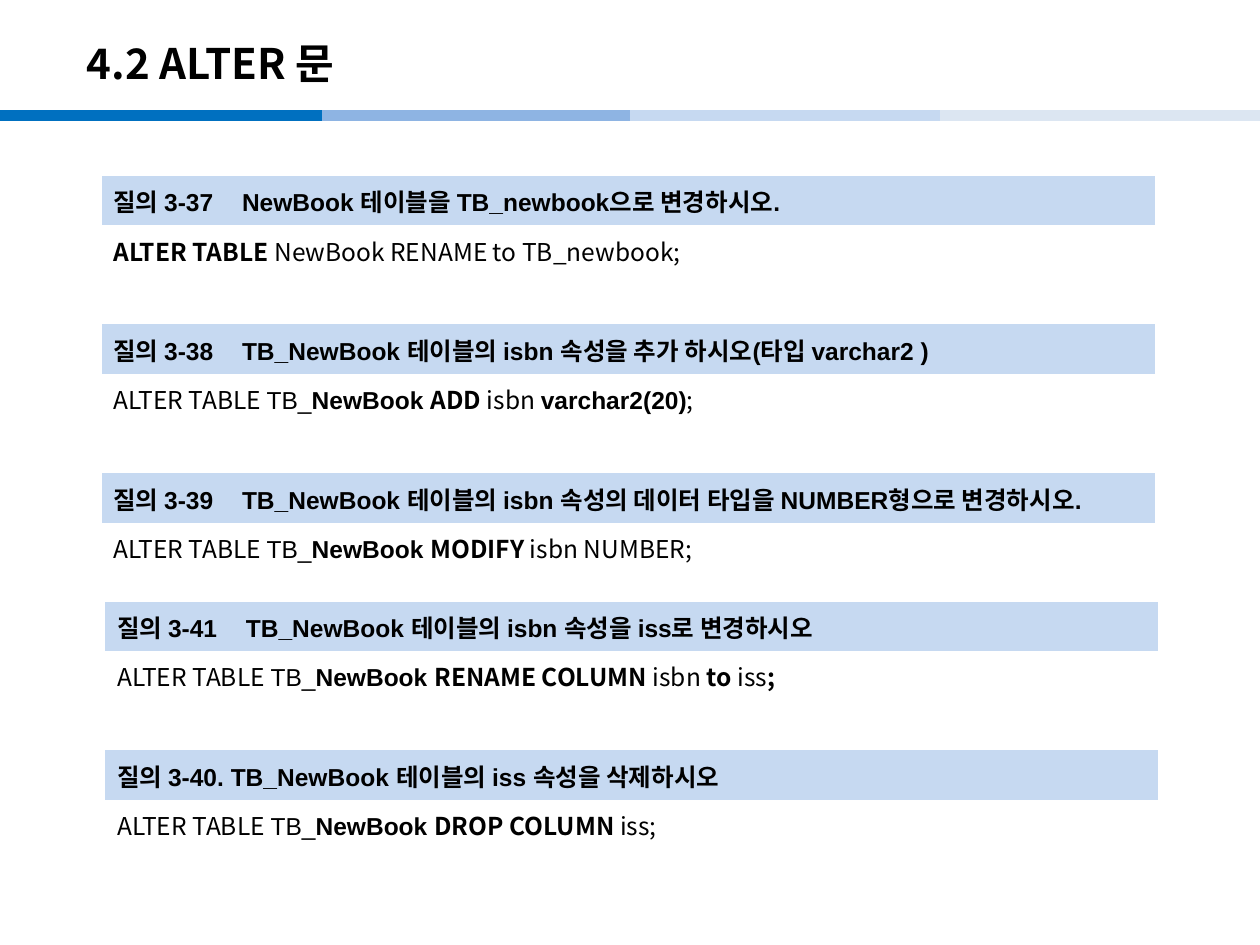
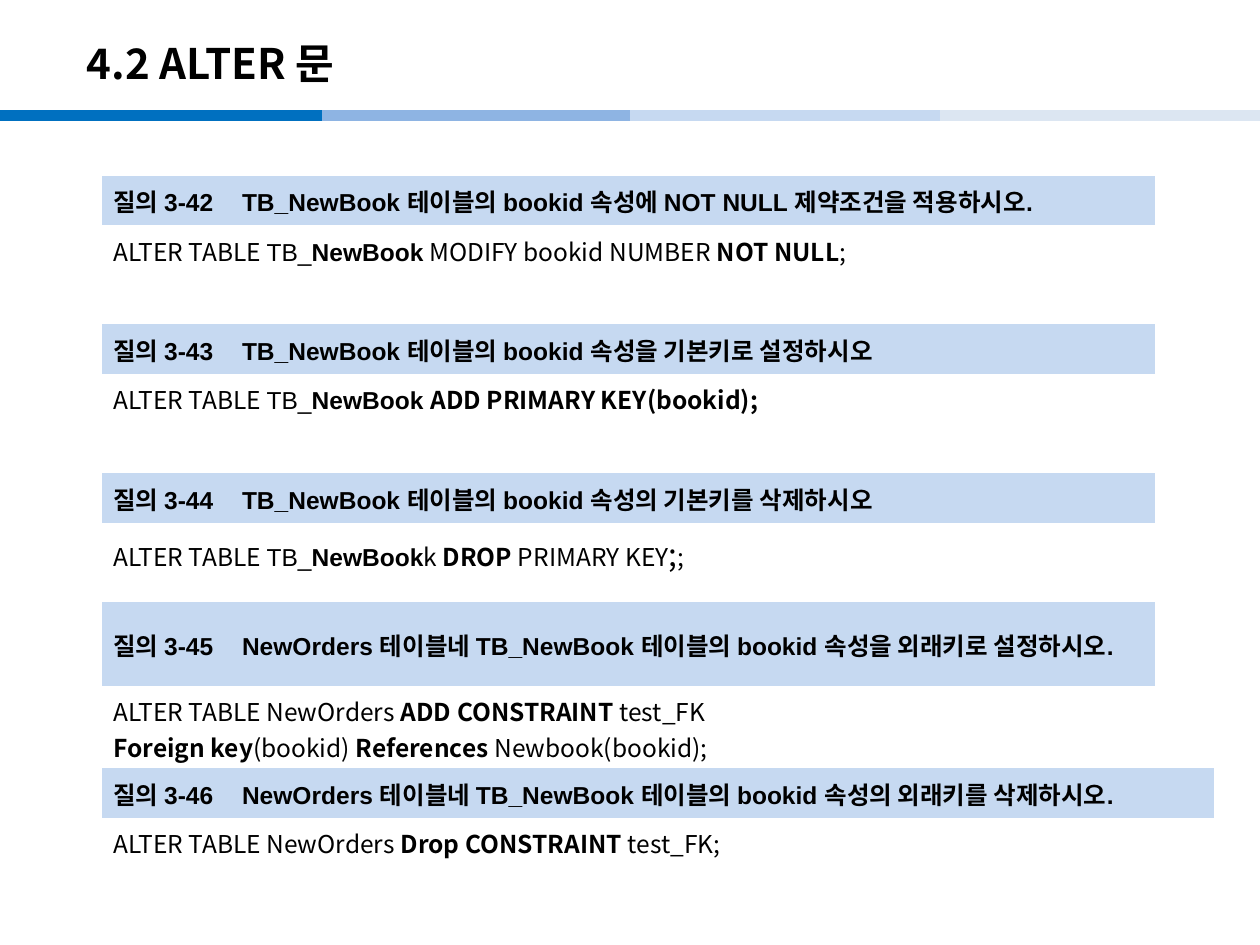
"""Builds two slides of ALTER statement exercises."""
import pptx
import pptx.util
import pptx.dml.color
import pptx.enum.shapes
import pptx.enum.text
import pptx.oxml.ns
import lxml.etree

Pt = pptx.util.Pt
qn = pptx.oxml.ns.qn
RGB = pptx.dml.color.RGBColor.from_string
MIDDLE = pptx.enum.text.MSO_ANCHOR.MIDDLE
HEX = {"ink": "000000", "white": "FFFFFF", "head": "C6D9F1",
       "blue": "0070C0", "mid": "8EB4E3", "pale": "DCE6F2"}
NOTO, ARIAL = "Noto Sans CJK KR", "Arial"
ROW = 29.25
TAB = 73.5


def write(par, text, size=14, font=NOTO, bold=False):
    run = par.add_run()
    run.text = text
    run.font.size = Pt(size)
    run.font.bold = bold
    run.font.color.rgb = RGB(HEX["ink"])
    run.font.name = font
    east = lxml.etree.SubElement(run._r.get_or_add_rPr(), qn("a:ea"))
    east.set("typeface", NOTO)


PLAIN, BOLD = {}, {"bold": True}
THIN, HEAVY = {"font": ARIAL}, {"font": ARIAL, "bold": True}
ALTER = [("ALTER TABLE ", PLAIN), ("TB_", THIN)]
BOOK = ALTER + [("NewBook ", HEAVY)]

# Each query: left, top, width, row heights, heading, paragraphs of runs
pages = [
    [
        (57.6, 100, 602.6, (ROW, ROW), "질의 3-37\tNewBook 테이블을 TB_newbook으로 변경하시오.",
         [[("ALTER TABLE ", BOLD), ("NewBook RENAME to TB_newbook;", PLAIN)]]),
        (57.6, 185, 602.6, (ROW, ROW),
         "질의 3-38\tTB_NewBook 테이블의 isbn 속성을 추가 하시오(타입 varchar2 )",
         [BOOK + [("ADD ", BOLD), ("isbn ", PLAIN), ("varchar2(20)", HEAVY), (";", PLAIN)]]),
        (57.6, 270, 602.6, (ROW, ROW),
         "질의 3-39\tTB_NewBook 테이블의 isbn 속성의 데이터 타입을 NUMBER형으로 변경하시오.",
         [BOOK + [("MODIFY ", BOLD), ("isbn NUMBER;", PLAIN)]]),
        (59.8, 343.4, 602.6, (ROW, ROW),
         "질의 3-41\tTB_NewBook 테이블의 isbn 속성을 iss로 변경하시오",
         [BOOK + [("RENAME COLUMN ", BOLD), ("isbn", PLAIN), (" to ", BOLD),
                  ("iss", PLAIN), (";", BOLD)]]),
        (59.8, 428.4, 602.6, (ROW, ROW),
         "질의 3-40. TB_NewBook 테이블의 iss 속성을 삭제하시오",
         [BOOK + [("DROP COLUMN ", BOLD), ("iss;", PLAIN)]]),
    ],
    [
        (57.6, 100, 602.6, (ROW, ROW),
         "질의 3-42\tTB_NewBook 테이블의 bookid 속성에 NOT NULL 제약조건을 적용하시오.",
         [ALTER + [("NewBook", HEAVY), (" MODIFY bookid NUMBER ", PLAIN),
                   ("NOT NULL", BOLD), (";", PLAIN)]]),
        (57.6, 185, 602.6, (ROW, ROW),
         "질의 3-43\tTB_NewBook 테이블의 bookid 속성을 기본키로 설정하시오",
         [BOOK + [("ADD PRIMARY KEY(bookid);", BOLD)]]),
        (57.6, 270, 602.6, (ROW, ROW),
         "질의 3-44\tTB_NewBook 테이블의 bookid 속성의 기본키를 삭제하시오",
         [ALTER + [("NewBook", HEAVY), ("k ", PLAIN), ("DROP ", BOLD),
                   ("PRIMARY KEY", PLAIN), (";", {"size": 18}), (";", PLAIN)]]),
        (57.6, 343.4, 602.6, (49.2, 40.8),
         "질의 3-45\tNewOrders 테이블네 TB_NewBook 테이블의 bookid 속성을 외래키로 설정하시오.",
         [[("ALTER TABLE NewOrders ", PLAIN), ("ADD CONSTRAINT ", BOLD), ("test_FK", PLAIN)],
          [("Foreign key", BOLD), ("(bookid) ", PLAIN), ("References ", BOLD),
           ("Newbook(bookid);", PLAIN)]]),
        (57.6, 438.5, 636.5, (ROW, ROW),
         "질의 3-46\tNewOrders 테이블네 TB_NewBook 테이블의 bookid 속성의 외래키를 삭제하시오.",
         [[("ALTER TABLE NewOrders ", PLAIN), ("Drop CONSTRAINT ", BOLD),
           ("test_FK;", PLAIN)]]),
    ],
]
bands = [(0, "blue"), (184.3, "mid"), (360, "head"), (537.1, "pale")]

deck = pptx.Presentation()
deck.slide_width, deck.slide_height = Pt(720), Pt(540)
base = deck.slide_layouts[5]
spot = base.placeholders[0]
spot.left, spot.top, spot.width, spot.height = Pt(42.5), Pt(14.4), Pt(595.4), Pt(43.2)

for page, items in enumerate(pages):
    slide = deck.slides.add_slide(base)
    if page == 0:
        for num, (left, tone) in enumerate(bands):
            band = slide.shapes.add_connector(
                pptx.enum.shapes.MSO_CONNECTOR.STRAIGHT,
                Pt(left), Pt(66.1), Pt(left + 184.3), Pt(66.1))
            band.line.color.rgb = RGB(HEX[tone])
            band.line.width = Pt(6)
            lxml.etree.SubElement(band.element.spPr, qn("a:effectLst"))
            band.element.nvCxnSpPr.cNvPr.set("id", str(20 + num))
            base.shapes.element.append(band.element)

    frame = slide.shapes.title.text_frame
    frame.vertical_anchor = MIDDLE
    frame.paragraphs[0].alignment = pptx.enum.text.PP_ALIGN.LEFT
    write(frame.paragraphs[0], "4.2 ALTER 문", size=24, bold=True)

    for left, top, width, rows, head, body in items:
        grid = slide.shapes.add_table(
            2, 1, Pt(left), Pt(top), Pt(width), Pt(sum(rows))).table
        grid.first_row = grid.horz_banding = False
        for row, high in zip(grid.rows, rows):
            row.height = Pt(high)
        for num, tone in enumerate(("head", "white")):
            cell = grid.cell(num, 0)
            cell.fill.solid()
            cell.fill.fore_color.rgb = RGB(HEX[tone])

        ask = grid.cell(0, 0)
        ask.vertical_anchor = MIDDLE
        par = ask.text_frame.paragraphs[0]
        par.line_spacing = Pt(21)
        tabs = lxml.etree.SubElement(par._p.get_or_add_pPr(), qn("a:tabLst"))
        lxml.etree.SubElement(tabs, qn("a:tab"), pos=str(Pt(TAB)), algn="l")
        write(par, head, font=ARIAL, bold=True)

        frame = grid.cell(1, 0).text_frame
        for num, runs in enumerate(body):
            par = frame.add_paragraph() if num else frame.paragraphs[0]
            for text, style in runs:
                write(par, text, **style)

deck.save("out.pptx")
